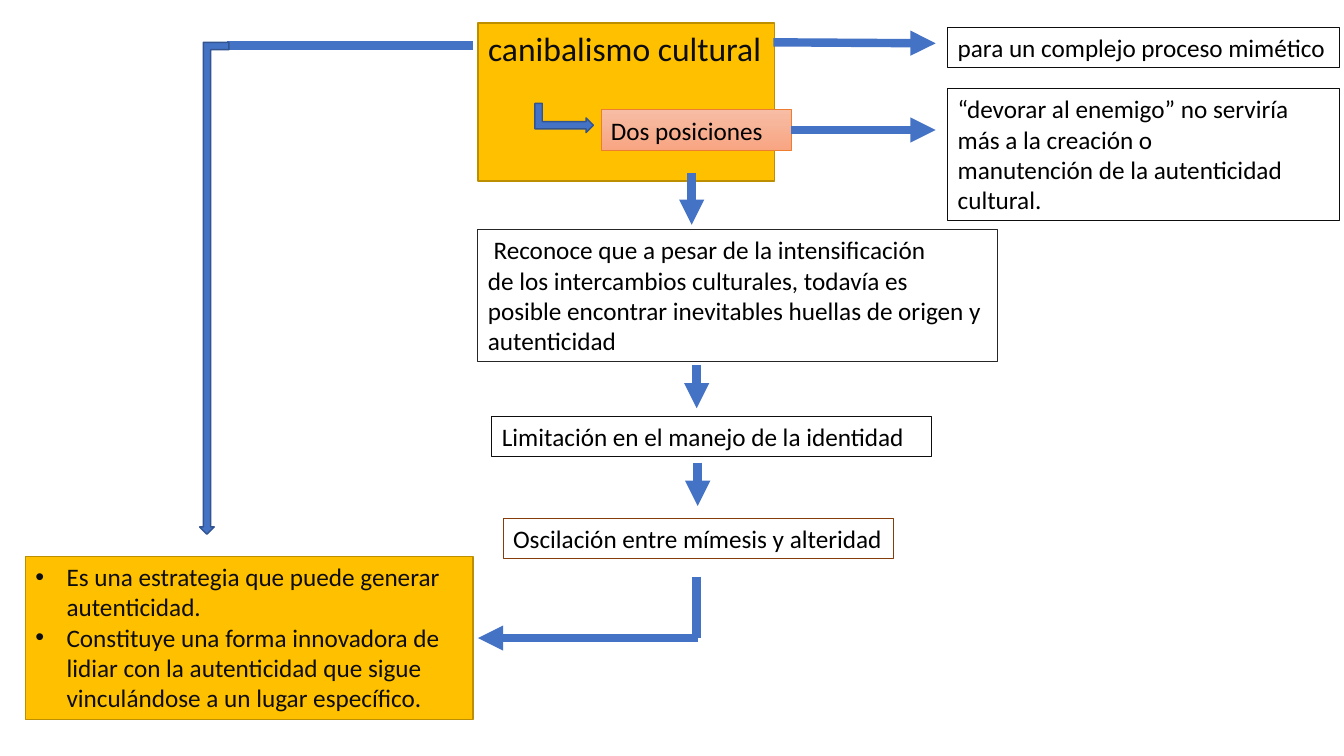
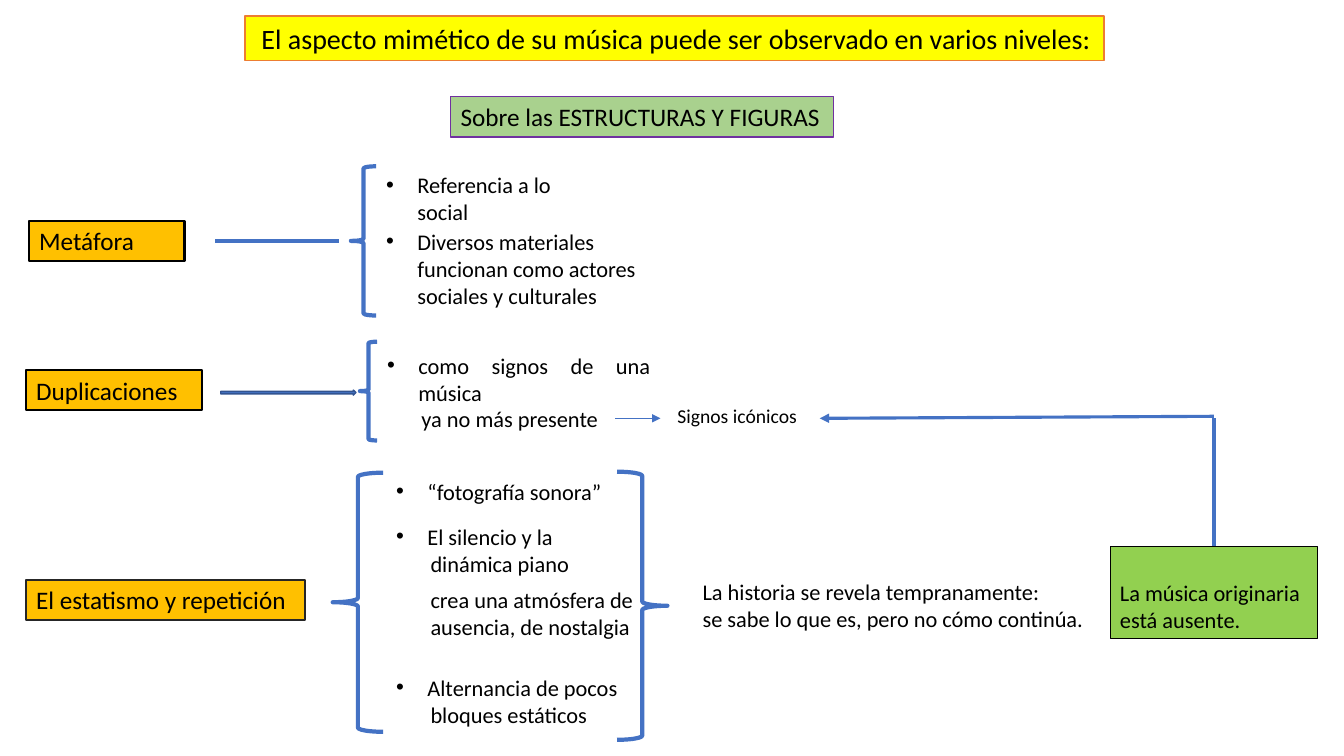
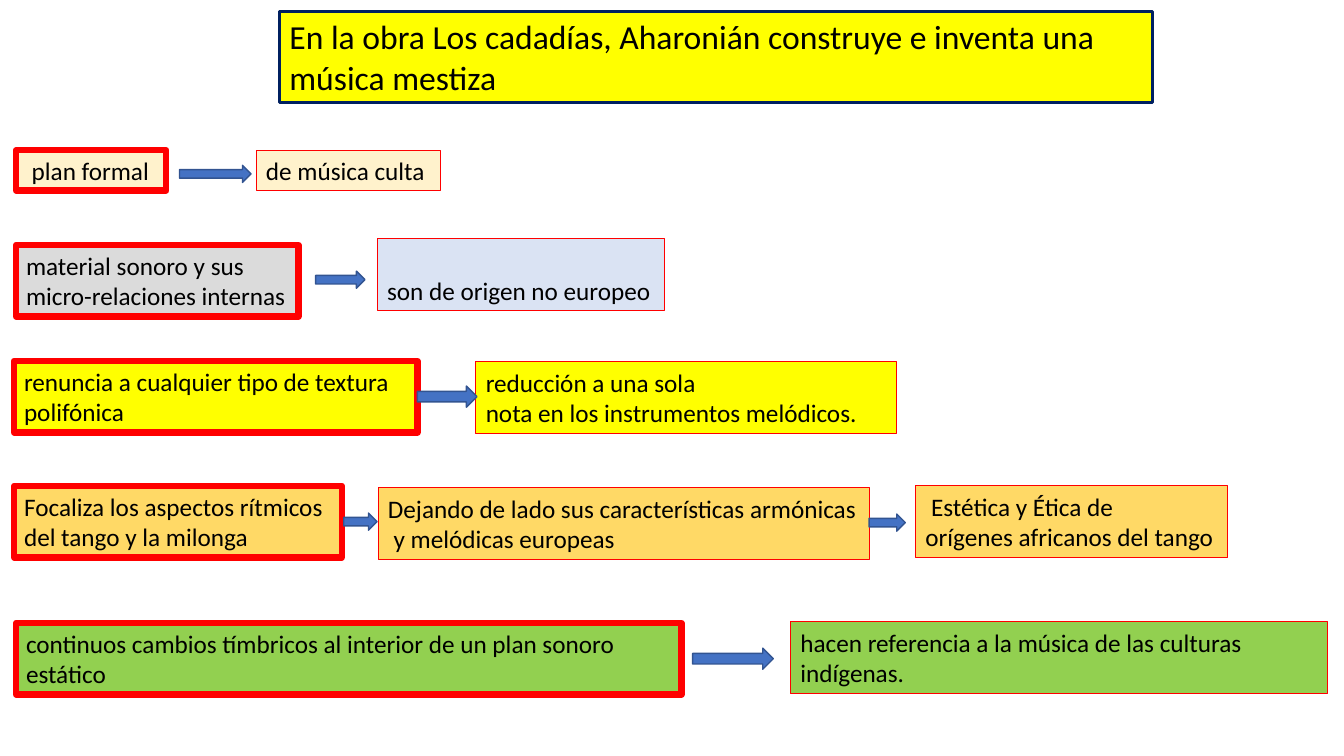
from dataclasses import dataclass
from typing import Optional

from lxml.etree import SubElement
from pptx import Presentation
from pptx.dml.color import RGBColor
from pptx.enum.shapes import MSO_CONNECTOR, MSO_SHAPE
from pptx.enum.text import MSO_ANCHOR, MSO_AUTO_SIZE, PP_ALIGN
from pptx.oxml.ns import qn
from pptx.presentation import Presentation as Deck
from pptx.shapes.autoshape import Shape
from pptx.shapes.connector import Connector
from pptx.slide import Slide
from pptx.util import Inches, Pt


@dataclass(frozen=True)
class Theme:
    font: str = "Calibri"
    text: str = "000000"
    ink: str = "0D0D0D"
    soft_ink: str = "262626"
    blue: str = "4472C4"
    dark_blue: str = "325491"
    navy: str = "002060"
    amber: str = "FFC000"
    dark_amber: str = "BD8E00"
    orange: str = "ED7D31"
    brown: str = "843C0B"
    salmon_top: str = "F7BDA5"
    salmon_bottom: str = "F8A582"
    yellow: str = "FFFF00"
    gold: str = "FFD966"
    cream: str = "FFF2CC"
    gray: str = "DBDBDB"
    pale_blue: str = "DAE3F3"
    green: str = "92D050"
    sage: str = "A9D18E"
    purple: str = "7030A0"
    red: str = "FF0000"
    title_size: int = 24
    subtitle_size: int = 20
    body_size: int = 18
    detail_size: int = 16
    label_size: int = 14


THEME = Theme()
THIN, THICK = 0.75, 4.5


@dataclass(frozen=True)
class Box:
    """A text frame; each line of the text is a paragraph."""
    left: float
    top: float
    width: float
    height: float
    text: str
    fill: Optional[str] = None
    border: Optional[str] = None
    border_width: float = THIN
    size: int = THEME.body_size
    color: str = THEME.text
    wrap: bool = True
    anchor: MSO_ANCHOR = MSO_ANCHOR.TOP


@dataclass(frozen=True)
class Item:
    """A list paragraph; without a bullet it continues the one above."""
    text: str
    bullet: bool = True
    gap: float = 0
    alignment: PP_ALIGN = PP_ALIGN.LEFT


@dataclass(frozen=True)
class Figure:
    kind: MSO_SHAPE
    left: float
    top: float
    width: float
    height: float
    rotation: int = 0


@dataclass(frozen=True)
class Line:
    start: tuple[float, float]
    end: tuple[float, float]
    width: float = 6
    arrow: bool = True


def color(value: str) -> RGBColor:
    return RGBColor.from_string(value)


def format_box(shape: Shape, box: Box) -> None:
    """Apply place, fill, border and text settings to a box or placeholder."""
    shape.left, shape.top = Inches(box.left), Inches(box.top)
    shape.width, shape.height = Inches(box.width), Inches(box.height)
    if box.fill:
        shape.fill.solid()
        shape.fill.fore_color.rgb = color(box.fill)
    if box.border:
        shape.line.color.rgb = color(box.border)
        shape.line.width = Pt(box.border_width)
    frame = shape.text_frame
    frame.word_wrap = box.wrap
    frame.auto_size = MSO_AUTO_SIZE.NONE if box.wrap else MSO_AUTO_SIZE.SHAPE_TO_FIT_TEXT
    frame.vertical_anchor = box.anchor
    frame.margin_left = frame.margin_right = Inches(0.1)
    frame.margin_top = frame.margin_bottom = Inches(0.05)
    if box.text:
        frame.text = box.text
    for paragraph in frame.paragraphs:
        paragraph.alignment = paragraph.alignment or PP_ALIGN.LEFT
        for run in paragraph.runs:
            run.font.name = THEME.font
            run.font.size = Pt(box.size)
            run.font.bold = False
            run.font.color.rgb = color(box.color)


def add_box(slide: Slide, box: Box) -> Shape:
    shape = slide.shapes.add_textbox(0, 0, 0, 0)
    format_box(shape, box)
    return shape


def fill_list(shape: Shape, box: Box, items: list[Item]) -> None:
    frame = shape.text_frame
    frame.text = "\n".join(item.text for item in items)
    for paragraph, item in zip(frame.paragraphs, items):
        paragraph.alignment = item.alignment
        paragraph.space_before = Pt(item.gap)
        properties = paragraph._p.get_or_add_pPr()
        properties.set("marL", str(Inches(0.31 if item.bullet else 0.34)))
        properties.set("indent", str(Inches(-0.31 if item.bullet else 0)))
        if item.bullet:
            SubElement(properties, qn("a:buFont")).set("typeface", "Arial")
            SubElement(properties, qn("a:buChar")).set("char", "•")
        else:
            SubElement(properties, qn("a:buNone"))
    format_box(shape, box)


def add_figure(slide: Slide, figure: Figure) -> None:
    """Add a solid block arrow or an open brace."""
    shape = slide.shapes.add_shape(
        figure.kind, Inches(figure.left), Inches(figure.top),
        Inches(figure.width), Inches(figure.height))
    shape.shadow.inherit = False
    shape.rotation = figure.rotation
    if figure.kind in (MSO_SHAPE.LEFT_BRACE, MSO_SHAPE.RIGHT_BRACE):
        shape.fill.background()
        shape.line.color.rgb = color(THEME.blue)
        shape.line.width = Pt(3)
    else:
        shape.fill.solid()
        shape.fill.fore_color.rgb = color(THEME.blue)
        shape.line.color.rgb = color(THEME.dark_blue)
        shape.line.width = Pt(1)


def add_line(slide: Slide, line: Line) -> Connector:
    connector = slide.shapes.add_connector(
        MSO_CONNECTOR.STRAIGHT, *(Inches(value) for value in line.start + line.end))
    connector.line.color.rgb = color(THEME.blue)
    connector.line.width = Pt(line.width)
    if line.arrow:
        SubElement(connector.line._get_or_add_ln(), qn("a:tailEnd")).set("type", "triangle")
    SubElement(connector._element.spPr, qn("a:effectLst"))
    return connector


def add_slide(presentation: Deck, layout: int, title: Box) -> tuple[Slide, list[Shape]]:
    """Add a titled slide and return it with its body placeholders."""
    slide = presentation.slides.add_slide(presentation.slide_layouts[layout])
    format_box(slide.shapes.title, title)
    bodies = [shape for shape in slide.placeholders if shape.placeholder_format.idx != 0]
    return slide, bodies


def build_cannibalism(presentation: Deck) -> None:
    slide, bodies = add_slide(presentation, 1, Box(
        4.74, 0.23, 2.94, 0.5, "canibalismo cultural", THEME.amber, THEME.dark_amber, 1,
        THEME.title_size, THEME.ink, wrap=False))
    fill_list(
        bodies[0],
        Box(0.25, 5.52, 4.44, 1.62, "", THEME.amber, THEME.dark_amber, 1, color=THEME.ink),
        [Item("Es una estrategia que puede generar autenticidad."),
         Item("Constituye una forma innovadora de lidiar con la autenticidad que sigue "
              "vinculándose a un lugar específico.")])
    for box in (
        Box(9.4, 0.27, 3.89, 0.4, "para un complejo proceso mimético",
            border=THEME.ink, wrap=False),
        Box(9.4, 0.88, 3.89, 1.31,
            "“devorar al enemigo” no serviría más a la creación o\n"
            "manutención de la autenticidad cultural.", border=THEME.ink),
        Box(4.74, 2.28, 5.15, 1.31,
            " Reconoce que a pesar de la intensificación\n"
            "de los intercambios culturales, todavía es\n"
            "posible encontrar inevitables huellas de origen y\n"
            "autenticidad", border=THEME.soft_ink, wrap=False),
        Box(4.88, 4.13, 4.36, 0.4, "Limitación en el manejo de la identidad",
            border=THEME.ink, wrap=False),
        Box(4.99, 5.14, 3.87, 0.4, "Oscilación entre mímesis y alteridad",
            border=THEME.brown, wrap=False),
    ):
        add_box(slide, box)
    positions = add_box(slide, Box(
        5.96, 1.09, 1.89, 0.4, "Dos posiciones", border=THEME.orange, border_width=0.5))
    positions.fill.gradient()
    positions.fill.gradient_angle = 270
    for stop, shade in zip(positions.fill.gradient_stops,
                           (THEME.salmon_top, THEME.salmon_bottom)):
        stop.color.rgb = color(shade)

    add_line(slide, Line((7.85, 1.29), (9.28, 1.29))).begin_connect(positions, 3)
    for line in (
        Line((7.67, 0.42), (9.28, 0.43)),
        Line((6.86, 1.72), (6.86, 2.23)),
        Line((6.91, 3.62), (6.91, 4.05)),
        Line((6.92, 4.59), (6.92, 5.02)),
        Line((2.25, 0.45), (4.69, 0.45), arrow=False),
        Line((6.91, 5.72), (6.91, 6.33), arrow=False),
        Line((6.92, 6.33), (4.74, 6.33)),
    ):
        add_line(slide, line)
    add_figure(slide, Figure(MSO_SHAPE.BENT_UP_ARROW, 1.98, 0.42, 0.29, 4.88, 180))
    add_figure(slide, Figure(MSO_SHAPE.BENT_UP_ARROW, 5.45, 0.88, 0.29, 0.58, 90))


def build_mimetic_levels(presentation: Deck) -> None:
    slide, bodies = add_slide(presentation, 4, Box(
        2.43, 0.16, 8.52, 0.44,
        " El aspecto mimético de su música puede ser observado en varios niveles:",
        THEME.yellow, THEME.orange, 1, THEME.subtitle_size))
    detail = THEME.detail_size
    lists = (
        (Box(3.73, 1.65, 2.76, 1.48, "", size=detail), [
            Item("Referencia a lo\vsocial"),
            Item("Diversos materiales funcionan como actores sociales y culturales", gap=2),
        ]),
        (Box(3.74, 3.44, 2.81, 0.91, "", size=detail), [
            Item("como signos de una música", alignment=PP_ALIGN.JUSTIFY),
            Item("ya no más presente", bullet=False),
        ]),
        (Box(3.83, 4.69, 2.7, 2.6, "", size=detail), [
            Item("“fotografía sonora”"),
            Item("El silencio y la", gap=13),
            Item("dinámica piano", bullet=False),
            Item("crea una atmósfera de", bullet=False, gap=7),
            Item("ausencia, de nostalgia", bullet=False),
            Item("Alternancia de pocos", gap=24),
            Item("bloques estáticos", bullet=False),
        ]),
    )
    for body, (box, items) in zip(bodies, lists):
        fill_list(body, box, items)
    for unused in bodies[len(lists):]:
        unused._element.getparent().remove(unused._element)

    for box in (
        Box(4.47, 0.96, 3.8, 0.4, "Sobre las ESTRUCTURAS Y FIGURAS",
            THEME.sage, THEME.purple, wrap=False),
        Box(0.29, 2.19, 1.54, 0.4, "Metáfora", THEME.amber, THEME.text, 1.5),
        Box(0.26, 3.67, 1.74, 0.4, "Duplicaciones", THEME.amber, THEME.text, 1.5, wrap=False),
        Box(0.26, 5.75, 2.77, 0.4, "El estatismo y repetición",
            THEME.amber, THEME.soft_ink, 1.5, wrap=False),
        Box(6.62, 3.96, 1.4, 0.34, "Signos icónicos", size=THEME.label_size, wrap=False),
        Box(6.87, 5.69, 4.1, 0.64,
            "La historia se revela tempranamente:\nse sabe lo que es, pero no cómo continúa.",
            size=detail),
    ):
        add_box(slide, box)
    absent_music = add_box(slide, Box(
        11.01, 5.42, 2.06, 0.91, "La música originaria\nestá ausente.",
        THEME.green, THEME.text, size=detail, anchor=MSO_ANCHOR.BOTTOM))

    for figure in (
        Figure(MSO_SHAPE.LEFT_BRACE, 3.48, 1.65, 0.25, 1.48),
        Figure(MSO_SHAPE.LEFT_BRACE, 3.57, 3.39, 0.17, 0.98),
        Figure(MSO_SHAPE.LEFT_BRACE, 3.3, 4.69, 0.5, 2.57),
        Figure(MSO_SHAPE.RIGHT_BRACE, 6.12, 4.68, 0.5, 2.66),
        Figure(MSO_SHAPE.RIGHT_ARROW, 2.19, 3.87, 1.34, 0.05),
    ):
        add_figure(slide, figure)
    for line in (
        Line((3.36, 2.39), (2.13, 2.39), 3, arrow=False),
        Line((6.1, 4.15), (6.55, 4.15), 0.5),
        Line((12.04, 4.13), (8.13, 4.15), 2.25),
    ):
        add_line(slide, line)
    absence_line = add_line(slide, Line((12.04, 4.15), (12.04, 5.42), 3, arrow=False))
    absence_line.end_connect(absent_music, 0)


def build_mestizo_music(presentation: Deck) -> None:
    slide, _ = add_slide(presentation, 5, Box(
        2.77, 0.11, 8.66, 0.91,
        "En la obra Los cadadías, Aharonián construye e inventa una música mestiza",
        THEME.yellow, THEME.navy, 2.25, THEME.title_size))
    for box in (
        Box(0.16, 1.49, 1.49, 0.4, " plan formal", THEME.cream, THEME.red, THICK),
        Box(2.54, 1.49, 1.83, 0.4, "de música culta", THEME.cream, THEME.red),
        Box(0.16, 2.43, 2.8, 0.71, "material sonoro y sus\nmicro-relaciones internas",
            THEME.gray, THEME.red, THICK, wrap=False),
        Box(3.74, 2.37, 2.85, 0.71, "son de origen no europeo",
            THEME.pale_blue, THEME.red, anchor=MSO_ANCHOR.BOTTOM),
        Box(0.14, 3.58, 4, 0.71, "renuncia a cualquier tipo de textura\npolifónica",
            THEME.yellow, THEME.red, THICK),
        Box(4.72, 3.59, 4.17, 0.71,
            "reducción a una sola\nnota en los instrumentos melódicos.",
            THEME.yellow, THEME.red),
        Box(0.14, 4.82, 3.25, 0.71, "Focaliza los aspectos rítmicos\ndel tango y la milonga",
            THEME.gold, THEME.red, THICK, wrap=False),
        Box(3.75, 4.84, 4.87, 0.71,
            "Dejando de lado sus características armónicas\n y melódicas europeas",
            THEME.gold, THEME.red, wrap=False),
        Box(9.08, 4.82, 3.09, 0.71, " Estética y Ética de\norígenes africanos del tango",
            THEME.gold, THEME.red, wrap=False),
        Box(0.16, 6.18, 6.6, 0.71,
            "continuos cambios tímbricos al interior de un plan sonoro\nestático",
            THEME.green, THEME.red, THICK),
        Box(7.84, 6.17, 5.33, 0.71,
            "hacen referencia a la música de las culturas\nindígenas.",
            THEME.green, THEME.red),
    ):
        add_box(slide, box)
    for left, top, width, height in (
        (1.78, 1.64, 0.71, 0.17),
        (3.13, 2.69, 0.49, 0.17),
        (4.14, 3.83, 0.59, 0.21),
        (3.41, 5.09, 0.33, 0.17),
        (8.62, 5.1, 0.36, 0.17),
        (6.87, 6.43, 0.8, 0.21),
    ):
        add_figure(slide, Figure(MSO_SHAPE.RIGHT_ARROW, left, top, width, height))


def main() -> None:
    presentation = Presentation()
    presentation.slide_width, presentation.slide_height = Inches(13.33), Inches(7.5)
    build_cannibalism(presentation)
    build_mimetic_levels(presentation)
    build_mestizo_music(presentation)
    presentation.save("out.pptx")


if __name__ == "__main__":
    main()
